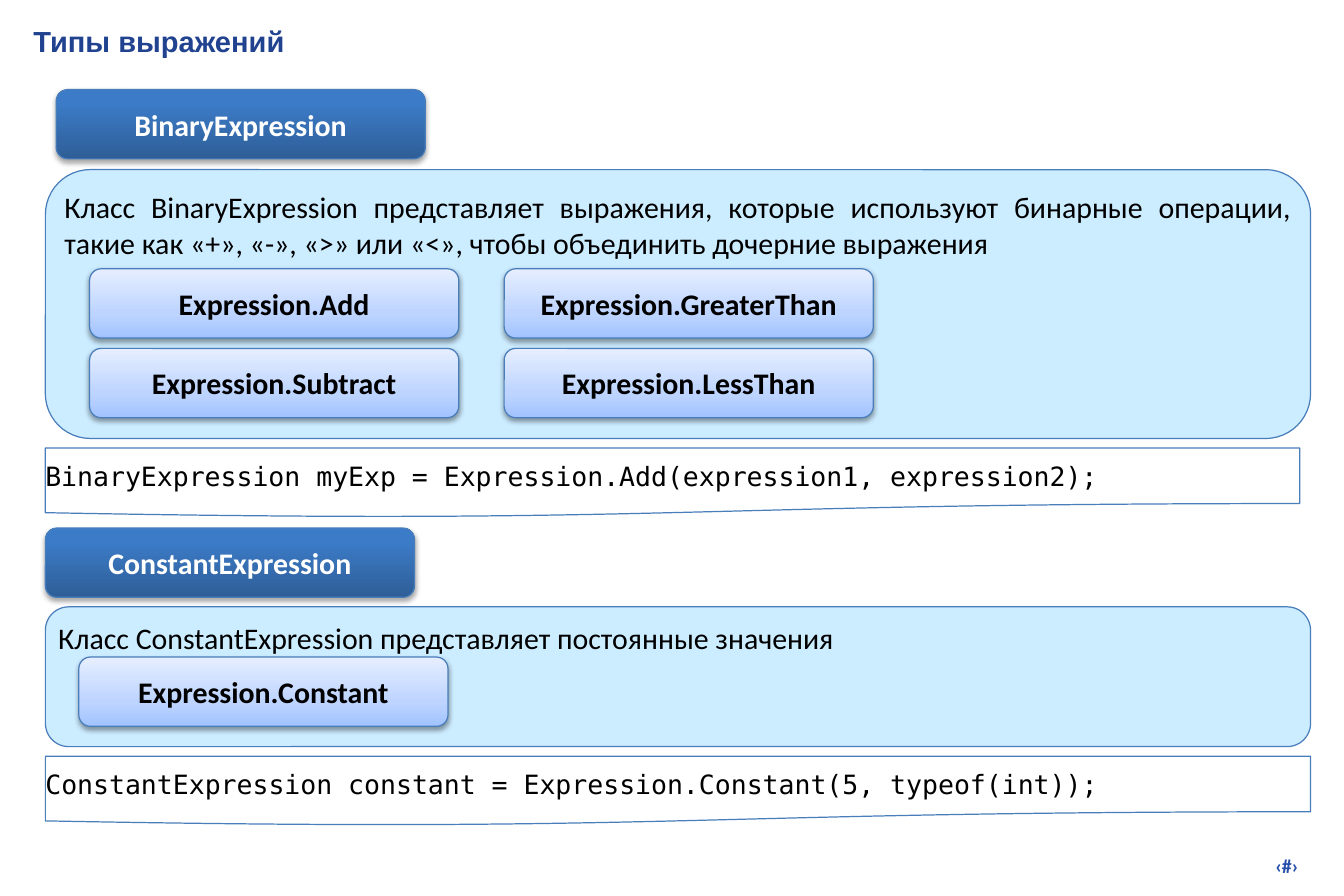
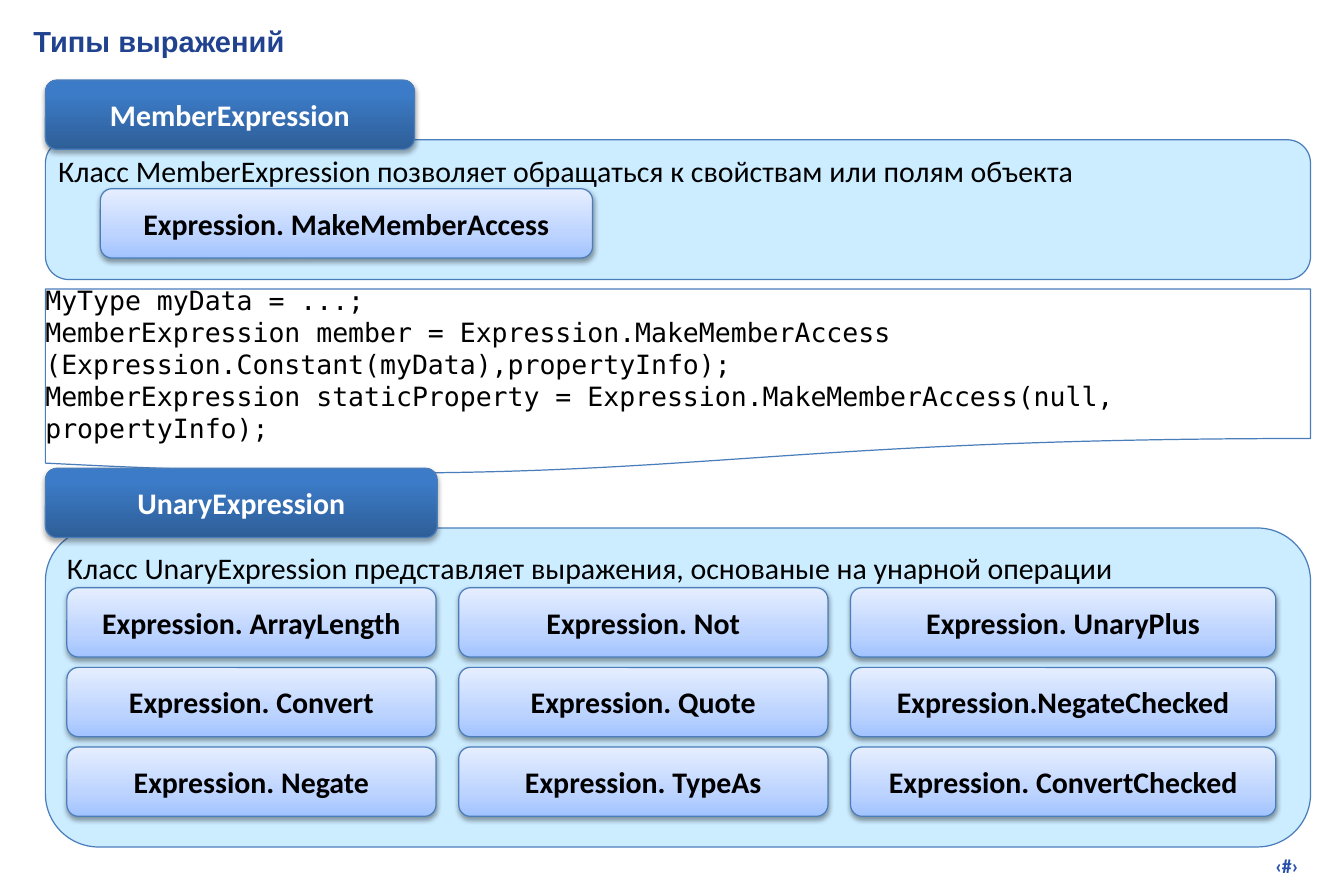
from dataclasses import dataclass
from typing import Optional

from lxml import etree
from pptx import Presentation
from pptx.dml.color import RGBColor
from pptx.enum import shapes, text
from pptx.oxml.ns import qn
from pptx.util import Inches, Pt

TITLE_BLUE = RGBColor(0x21, 0x43, 0x8F)
NUMBER_BLUE = RGBColor(0x27, 0x50, 0xAB)
OUTLINE = RGBColor(0x4A, 0x7E, 0xBB)
PANEL = RGBColor(0xCC, 0xEC, 0xFF)
WHITE = RGBColor(0xFF, 0xFF, 0xFF)
BLACK = RGBColor(0x00, 0x00, 0x00)

BODY_FONT = "Calibri"
CODE_FONT = "DejaVu Sans Mono"
LEFT = 0.38
FULL_WIDTH = 10.59
BUTTON_WIDTH = 3.09
BUTTON_HEIGHT = 0.58
ROW_PITCH = 2 / 3
TITLE = "Типы выражений"


@dataclass(frozen=True)
class Box:
    left: float
    top: float
    width: float
    height: float

    def lengths(self) -> tuple:
        return tuple(map(Inches, (self.left, self.top, self.width, self.height)))


@dataclass(frozen=True)
class ButtonStyle:
    """Gradient stops run upwards, from the bottom edge."""
    stops: tuple[tuple[int, RGBColor], ...]
    font_color: RGBColor
    shadow_percent: int
    shadow_distance: float


@dataclass(frozen=True)
class MethodColumn:
    left: float
    labels: tuple[str, ...]
    width: float = BUTTON_WIDTH


@dataclass(frozen=True)
class Code:
    top: float
    height: float
    lines: tuple[str, ...]
    width: float = FULL_WIDTH


@dataclass(frozen=True)
class Section:
    heading: str
    heading_top: float
    panel_top: float
    panel_height: float
    description: str
    methods_top: float
    columns: tuple[MethodColumn, ...]
    code: Optional[Code] = None
    heading_left: float = LEFT
    heading_width: float = BUTTON_WIDTH


HEADING_STYLE = ButtonStyle(
    ((0, RGBColor(0x2E, 0x5E, 0x97)), (80, RGBColor(0x3C, 0x7B, 0xC7)),
     (100, RGBColor(0x3A, 0x7C, 0xCA))), WHITE, 35, 1.8)
METHOD_STYLE = ButtonStyle(
    ((0, RGBColor(0xA2, 0xC3, 0xFF)), (35, RGBColor(0xBD, 0xD4, 0xFF)),
     (100, RGBColor(0xE6, 0xEE, 0xFF))), BLACK, 38, 1.6)

SLIDES = (
    (
        Section(
            "BinaryExpression", 0.75, 1.42, 2.25,
            "Класс BinaryExpression представляет выражения, которые используют "
            "бинарные операции, такие как «+», «-», «>» или «<», чтобы объединить "
            "дочерние выражения",
            2.25,
            (MethodColumn(0.75, ("Expression.Add", "Expression.Subtract")),
             MethodColumn(4.22, ("Expression.GreaterThan", "Expression.LessThan"))),
            Code(3.75, 0.58,
                 ("BinaryExpression myExp = Expression.Add(expression1, expression2);",),
                 width=10.5),
            heading_left=0.47,
        ),
        Section(
            "ConstantExpression", 4.42, 5.08, 1.17,
            "Класс ConstantExpression представляет постоянные значения",
            5.5,
            (MethodColumn(0.66, ("Expression.Constant",)),),
            Code(6.33, 0.58,
                 ("ConstantExpression constant = Expression.Constant(5, typeof(int));",)),
        ),
    ),
    (
        Section(
            "MemberExpression", 0.67, 1.17, 1.17,
            "Класс MemberExpression позволяет обращаться к свойствам или полям объекта",
            1.58,
            (MethodColumn(0.84, ("Expression. MakeMemberAccess",), 4.12),),
            Code(2.42, 1.56,
                 ("MyType myData = ...;",
                  "MemberExpression member = Expression.MakeMemberAccess "
                  "(Expression.Constant(myData),propertyInfo);",
                  "MemberExpression staticProperty = "
                  "Expression.MakeMemberAccess(null, propertyInfo);")),
        ),
        Section(
            "UnaryExpression", 3.92, 4.42, 2.67,
            "Класс UnaryExpression представляет выражения, основаные на унарной операции",
            4.92,
            (MethodColumn(0.56, ("Expression. ArrayLength", "Expression. Convert",
                                 "Expression. Negate")),
             MethodColumn(3.84, ("Expression. Not", "Expression. Quote",
                                 "Expression. TypeAs")),
             MethodColumn(7.12, ("Expression. UnaryPlus", "Expression.NegateChecked",
                                 "Expression. ConvertChecked"), 3.56)),
            heading_width=3.28,
        ),
    ),
)


def write(shape, content: str, size: float, color: RGBColor, font: str = BODY_FONT,
          bold: bool = False, align=text.PP_ALIGN.LEFT,
          anchor=text.MSO_ANCHOR.TOP, inset: float = 0) -> None:
    frame = shape.text_frame
    frame.text = content
    frame.word_wrap = True
    frame.auto_size = text.MSO_AUTO_SIZE.NONE
    frame.vertical_anchor = anchor
    frame.margin_left = frame.margin_right = Inches(inset)
    frame.margin_top = frame.margin_bottom = Inches(inset)
    for paragraph in frame.paragraphs:
        paragraph.alignment = align
        for run in paragraph.runs:
            run.font.name = font
            run.font.size = Pt(size)
            run.font.bold = bold
            run.font.color.rgb = color


def add_outlined(slide, preset, box: Box, fill: RGBColor = WHITE):
    shape = slide.shapes.add_shape(preset, *box.lengths())
    shape.fill.solid()
    shape.fill.fore_color.rgb = fill
    shape.line.color.rgb = OUTLINE
    shape.line.width = Pt(0.75)
    shape.shadow.inherit = False
    return shape


def add_color(parent, color: RGBColor):
    return etree.SubElement(parent, qn("a:srgbClr"), val=str(color))


def apply_button_style(shape, style: ButtonStyle) -> None:
    shape.fill.gradient()
    shape.fill.gradient_angle = 90
    properties = shape.element.spPr
    stop_list = properties.find(".//" + qn("a:gsLst"))
    stop_list.clear()
    for percent, color in style.stops:
        stop = etree.SubElement(stop_list, qn("a:gs"), pos=str(percent * 1000))
        add_color(stop, color)
    shadow = etree.SubElement(
        properties.find(qn("a:effectLst")), qn("a:outerShdw"),
        blurRad=str(Pt(3)), dist=str(Pt(style.shadow_distance)),
        dir="5400000", rotWithShape="0")
    etree.SubElement(add_color(shadow, BLACK), qn("a:alpha"),
                     val=str(style.shadow_percent * 1000))


def add_button(slide, label: str, left: float, top: float, width: float,
               style: ButtonStyle) -> None:
    button = add_outlined(slide, shapes.MSO_SHAPE.ROUNDED_RECTANGLE,
                          Box(left, top, width, BUTTON_HEIGHT))
    apply_button_style(button, style)
    write(button, label, 18, style.font_color, bold=True,
          align=text.PP_ALIGN.CENTER, anchor=text.MSO_ANCHOR.MIDDLE)


def add_code(slide, code: Code) -> None:
    listing = add_outlined(slide, shapes.MSO_SHAPE.FLOWCHART_DOCUMENT,
                           Box(LEFT, code.top, code.width, code.height))
    write(listing, "\n".join(code.lines), 16, BLACK, font=CODE_FONT,
          anchor=text.MSO_ANCHOR.MIDDLE)


def add_section(slide, section: Section) -> None:
    panel = add_outlined(
        slide, shapes.MSO_SHAPE.ROUNDED_RECTANGLE,
        Box(LEFT, section.panel_top, FULL_WIDTH, section.panel_height), PANEL)
    write(panel, section.description, 18, BLACK,
          align=text.PP_ALIGN.JUSTIFY, inset=0.05)
    for column in section.columns:
        for row, label in enumerate(column.labels):
            add_button(slide, label, column.left,
                       section.methods_top + row * ROW_PITCH,
                       column.width, METHOD_STYLE)
    if section.code:
        add_code(slide, section.code)
    add_button(slide, section.heading, section.heading_left, section.heading_top,
               section.heading_width, HEADING_STYLE)


def add_titled_slide(deck):
    slide = deck.slides.add_slide(deck.slide_layouts[5])
    title = slide.shapes.title
    title.left, title.top, title.width, title.height = Box(0.28, 0.2, 10.74, 0.4).lengths()
    write(title, TITLE, 17.5, TITLE_BLUE, font="Arial", bold=True)
    page_number = slide.shapes.add_textbox(*Box(8.54, 7.1, 2.38, 0.29).lengths())
    write(page_number, "‹#›", 12, NUMBER_BLUE, bold=True,
          align=text.PP_ALIGN.RIGHT, inset=0.05)
    return slide


def main() -> None:
    deck = Presentation()
    deck.slide_width = Inches(11.25)
    deck.slide_height = Inches(7.5)
    for sections in SLIDES:
        slide = add_titled_slide(deck)
        for section in sections:
            add_section(slide, section)
    deck.save("out.pptx")


if __name__ == "__main__":
    main()
